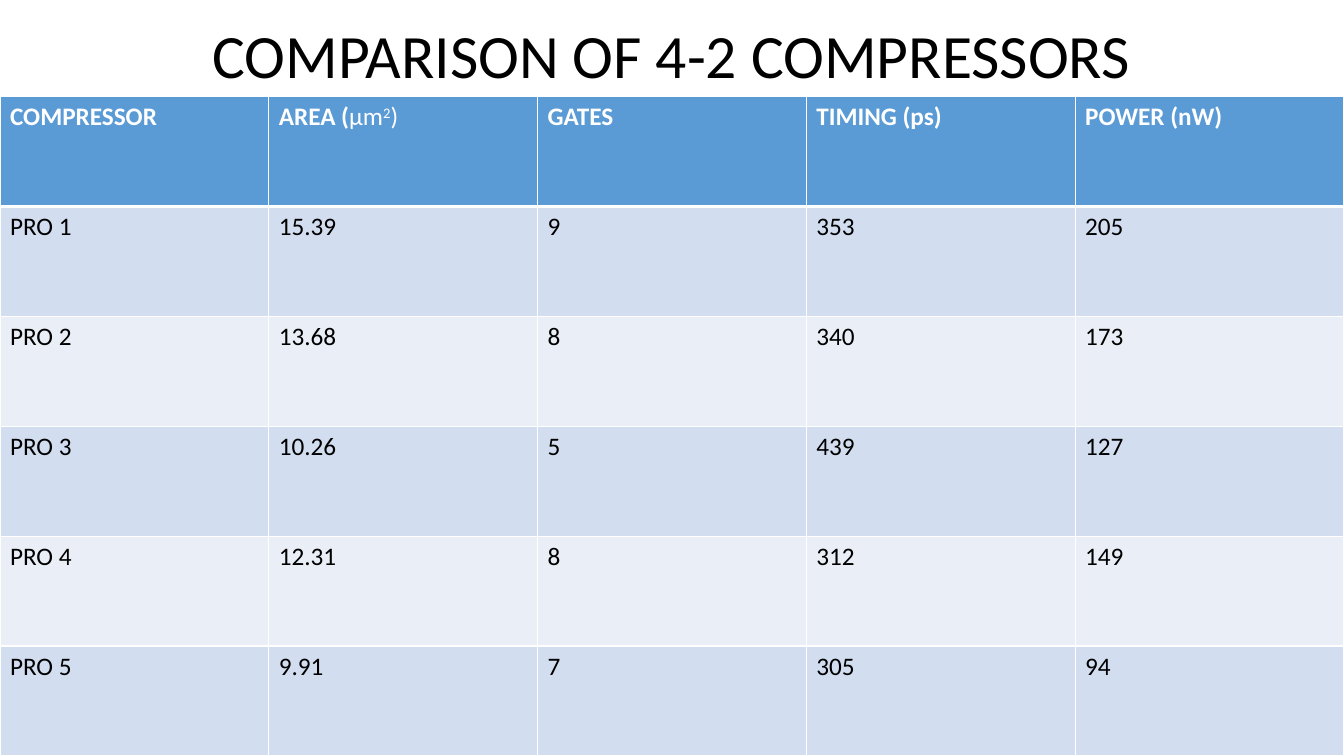
import pptx
import pptx.util
import pptx.dml.color
import pptx.enum.text
import pptx.oxml
import pptx.oxml.ns

HUES = {"ink": "000000", "paper": "FFFFFF", "head": "5B9BD5",
        "odd": "D2DEEF", "even": "EAEFF7"}
FONT = "Calibri"
WIDE = pptx.util.Inches(13.33)
TALL = pptx.util.Inches(7.5)
SPLIT = 0.128

HEADS = [
    [("COMPRESSOR", True, 0)],
    [("AREA (", True, 0), ("μm", False, 0), ("2", False, 30), (")", False, 0)],
    [("GATES", True, 0)],
    [("TIMING (ps)", True, 0)],
    [("POWER (nW)", True, 0)],
]
ROWS = [
    ("PRO 1", "15.39", "9", "353", "205"),
    ("PRO 2", "13.68", "8", "340", "173"),
    ("PRO 3", "10.26", "5", "439", "127"),
    ("PRO 4", "12.31", "8", "312", "149"),
    ("PRO 5", "9.91", "7", "305", "94"),
]


def tint(name):
    return pptx.dml.color.RGBColor.from_string(HUES[name])


def add_run(para, text, size, hue, bold=False, base=0):
    run = para.add_run()
    run.text = text
    font = run.font
    font.name = FONT
    font.size = pptx.util.Pt(size)
    font.bold = bold
    font.color.rgb = tint(hue)
    if base:
        font._element.set("baseline", str(base * 1000))


def add_edge(cell, side, width):
    space = pptx.oxml.ns.nsdecls("a")
    cell._tc.get_or_add_tcPr().append(pptx.oxml.parse_xml(
        f'<a:ln{side} {space} w="{pptx.util.Pt(width)}"><a:solidFill>'
        f'<a:srgbClr val="{HUES["paper"]}"/></a:solidFill></a:ln{side}>'))


def fill_cell(cell, runs, row):
    edges = {"L": 1, "R": 1, "T": 3 if row == 1 else 1, "B": 3 if row == 0 else 1}
    for side, width in edges.items():
        add_edge(cell, side, width)
    cell.fill.solid()
    cell.fill.fore_color.rgb = tint("head" if row == 0 else "odd" if row % 2 else "even")
    for text, bold, base in runs:
        add_run(cell.text_frame.paragraphs[0], text, 18,
                "ink" if row else "paper", bold, base)


def add_title(slide, left, top, width, height):
    frame = slide.shapes.add_textbox(left, top, width, height).text_frame
    frame.word_wrap = True
    frame.vertical_anchor = pptx.enum.text.MSO_ANCHOR.BOTTOM
    para = frame.paragraphs[0]
    para.alignment = pptx.enum.text.PP_ALIGN.CENTER
    para.line_spacing = 0.9
    add_run(para, "COMPARISON OF 4-2 COMPRESSORS", 44, "ink")


def add_grid(slide, left, top, width, height):
    lines = [HEADS] + [[[(text, False, 0)] for text in line] for line in ROWS]
    table = slide.shapes.add_table(len(lines), len(HEADS), left, top, width, height).table
    for col in table.columns:
        col.width = int(width / len(HEADS))
    for row, line in enumerate(lines):
        table.rows[row].height = int(height / len(lines))
        for col, runs in enumerate(line):
            fill_cell(table.cell(row, col), runs, row)


def main():
    deck = pptx.Presentation()
    deck.slide_width, deck.slide_height = WIDE, TALL
    slide = deck.slides.add_slide(deck.slide_layouts[6])
    slide.background.fill.solid()
    slide.background.fill.fore_color.rgb = tint("paper")
    cut = int(TALL * SPLIT)
    add_title(slide, 0, 0, WIDE, cut)
    add_grid(slide, 0, cut, WIDE, TALL - cut)
    deck.save("out.pptx")


if __name__ == "__main__":
    main()
